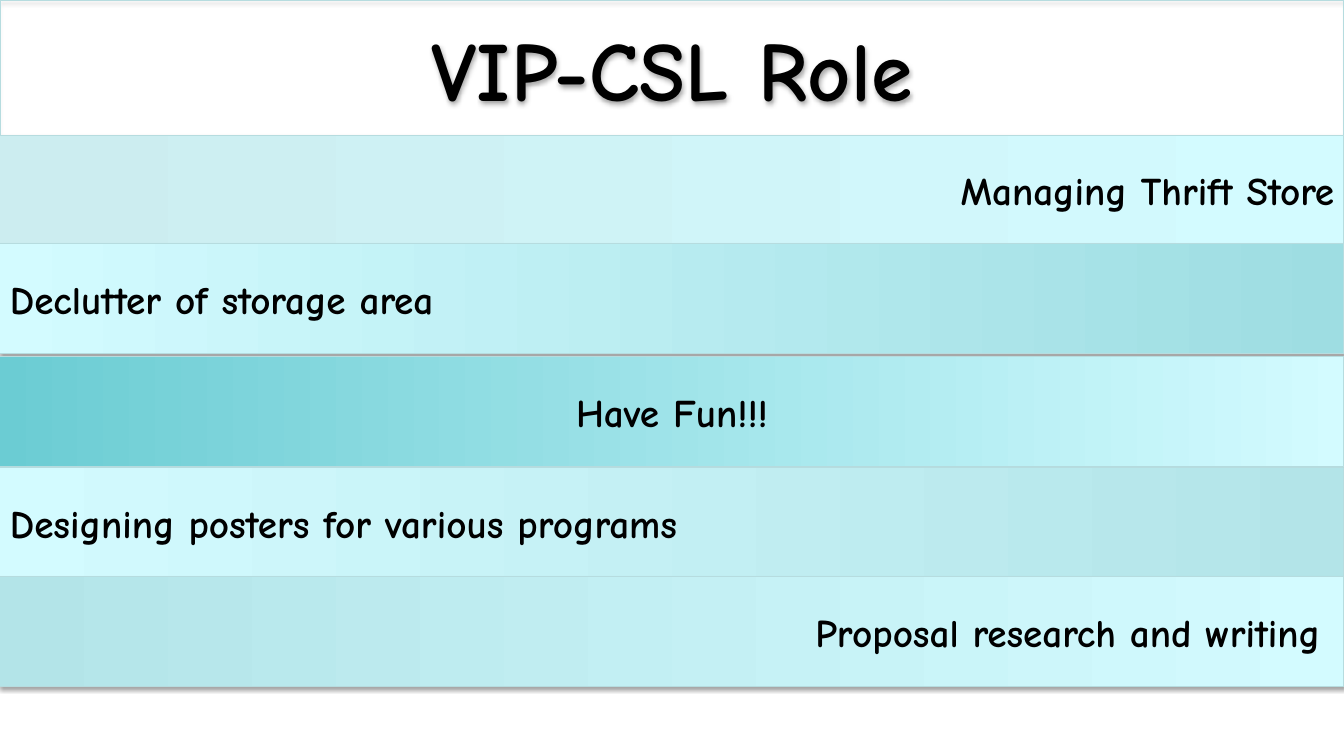
from lxml import etree
from pptx import Presentation
from pptx.dml.color import RGBColor
from pptx.enum.shapes import MSO_SHAPE
from pptx.enum.text import MSO_ANCHOR, MSO_AUTO_SIZE, PP_ALIGN
from pptx.oxml.ns import qn
from pptx.util import Inches, Pt

RECTANGLE = MSO_SHAPE.RECTANGLE
MIDDLE = MSO_ANCHOR.MIDDLE
NO_AUTOFIT = MSO_AUTO_SIZE.NONE
LEFT, CENTER, RIGHT = PP_ALIGN.LEFT, PP_ALIGN.CENTER, PP_ALIGN.RIGHT

SLIDE_WIDTH, SLIDE_HEIGHT = 13.33, 7.5
TITLE_HEIGHT, BAND_HEIGHT = 1.34, 1.09
FONT = "Comic Neue"
PALE, EDGE, BLACK = "D3FBFF", "B6DCDF", "000000"

# Top, text, alignment, dark gradient colour, gradient angle
ROLES = [
    (1.34, "Managing Thrift Store", RIGHT, "CCEDF0", 0),
    (2.42, "Declutter of storage area", LEFT, "9EDDE2", 180),
    (3.54, "Have Fun!!!", CENTER, "6BCCD3", 0),
    (4.64, "Designing posters for various programs", LEFT, "B3E4E8", 180),
    (5.72, "Proposal research and writing ", RIGHT, "B3E4E8", 0),
]


def color(hex_value):
    return RGBColor.from_string(hex_value)


def add_shadow(shape):
    shape.shadow.inherit = False
    effects = shape.element.spPr.find(qn("a:effectLst"))
    shadow = etree.SubElement(effects, qn("a:outerShdw"), blurRad=str(Pt(3.1)),
                              dist=str(Pt(1.8)), dir="5400000", rotWithShape="0")
    black = etree.SubElement(shadow, qn("a:srgbClr"), val=BLACK)
    etree.SubElement(black, qn("a:alpha"), val="35000")


def style_panel(panel, text, size, align):
    """Edge, shadow and text shared by the title and the bands."""
    panel.line.color.rgb = color(EDGE)
    panel.line.width = Pt(0.75)
    add_shadow(panel)
    frame = panel.text_frame
    frame.word_wrap = True
    frame.auto_size = NO_AUTOFIT
    frame.vertical_anchor = MIDDLE
    paragraph = frame.paragraphs[0]
    paragraph.alignment = align
    run = paragraph.add_run()
    run.text = text
    run.font.name = FONT
    run.font.size = Pt(size)
    run.font.bold = True
    run.font.color.rgb = color(BLACK)


def place_title(slide, left, top, width, height):
    title = slide.shapes.title
    title.left, title.top = Inches(left), Inches(top)
    title.width, title.height = Inches(width), Inches(height)
    title.fill.background()
    style_panel(title, "VIP-CSL Role", 60, CENTER)


def add_role_band(slide, left, top, width, height, role, align, dark, angle):
    band = slide.shapes.add_shape(RECTANGLE, Inches(left), Inches(top),
                                  Inches(width), Inches(height))
    band.fill.gradient()
    band.fill.gradient_angle = angle
    for stop, shade in zip(band.fill.gradient_stops, (dark, PALE)):
        stop.color.rgb = color(shade)
    style_panel(band, role, 28, align)


def main():
    presentation = Presentation()
    presentation.slide_width = Inches(SLIDE_WIDTH)
    presentation.slide_height = Inches(SLIDE_HEIGHT)
    slide = presentation.slides.add_slide(presentation.slide_layouts[5])

    # Title across the top
    place_title(slide, 0, 0, SLIDE_WIDTH, TITLE_HEIGHT)

    # One full-width band per role
    for top, role, align, dark, angle in ROLES:
        add_role_band(slide, 0, top, SLIDE_WIDTH, BAND_HEIGHT, role, align, dark, angle)

    presentation.save("out.pptx")


if __name__ == "__main__":
    main()
